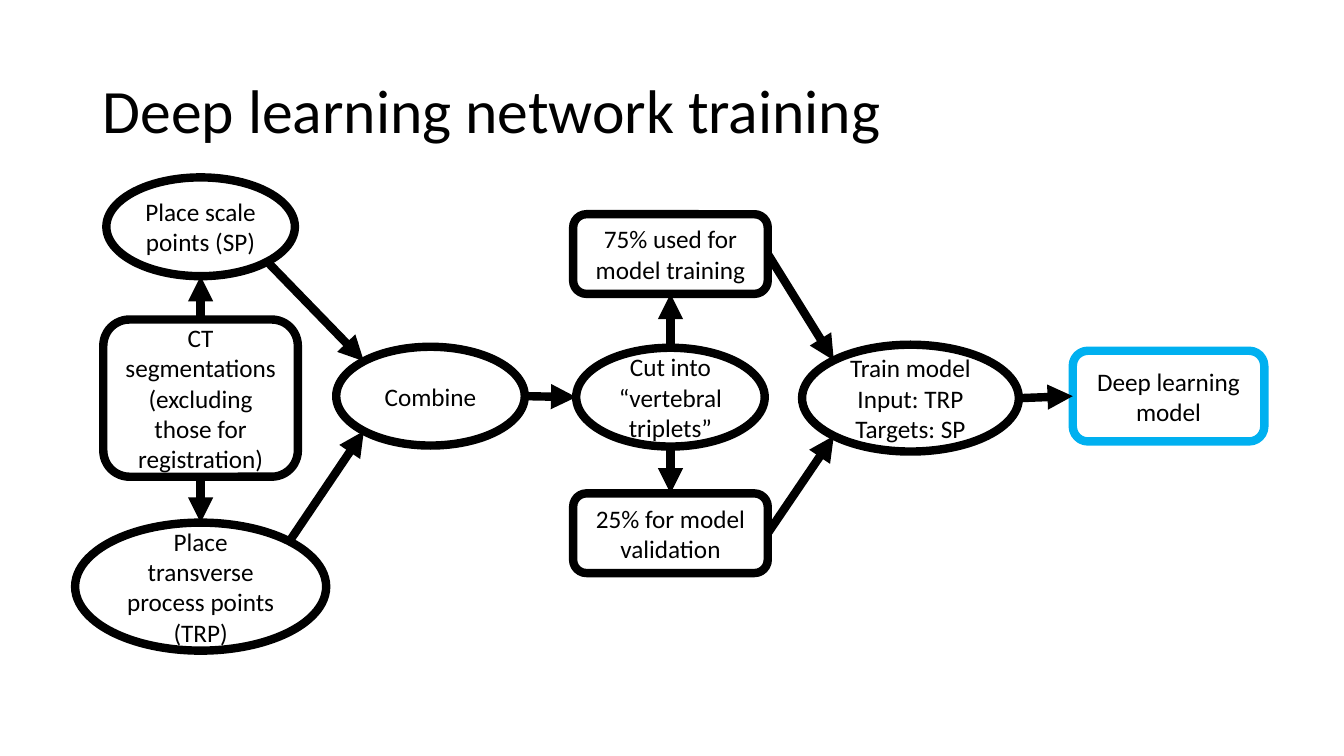
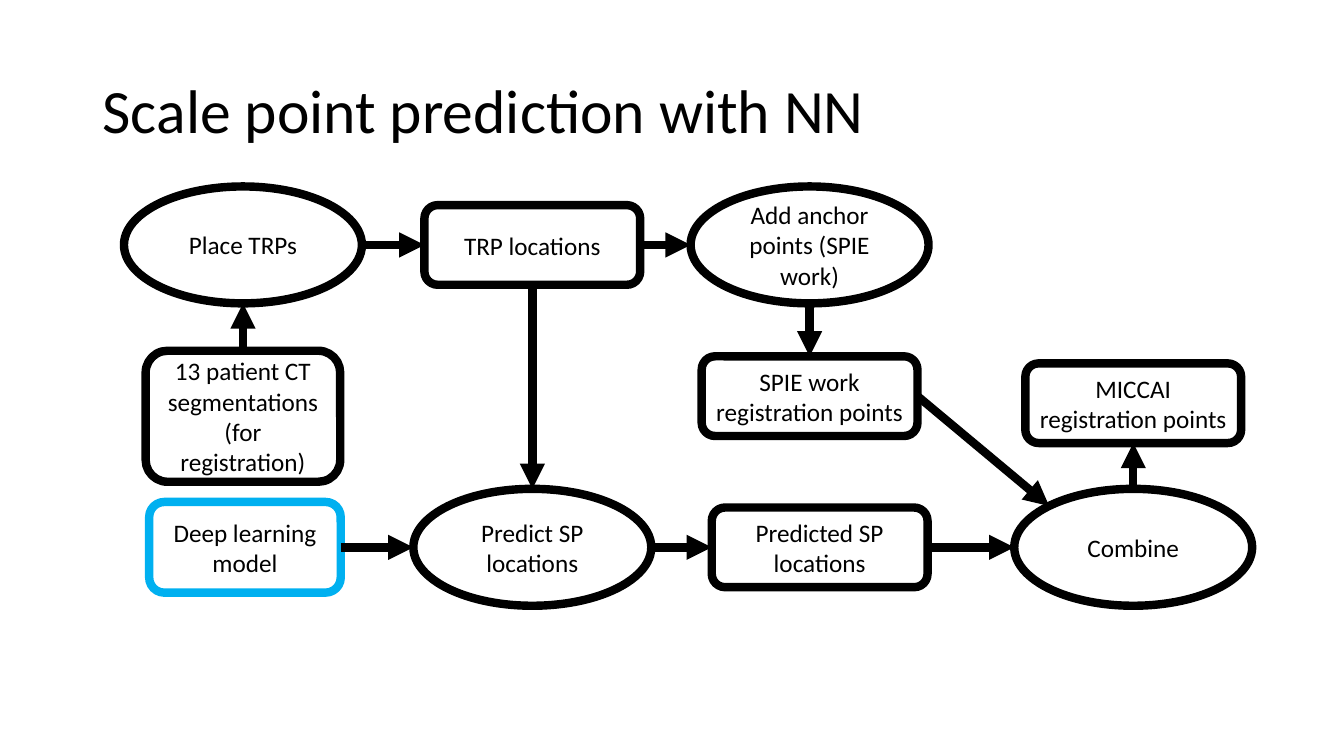
from math import sqrt

from lxml.etree import SubElement
from pptx import Presentation
from pptx.dml.color import RGBColor
from pptx.enum.shapes import MSO_CONNECTOR, MSO_SHAPE
from pptx.enum.text import MSO_ANCHOR as ANCHOR, PP_ALIGN as ALIGN
from pptx.oxml.ns import qn
from pptx.util import Inches, Pt

BLACK, BLUE = "000000", "00B0F0"
FONT = "Calibri"
LINE_WIDTH = Pt(6)
DIAGONAL = 1 / sqrt(2)
SIDES = {
    "top": (0, -1), "left": (-1, 0), "bottom": (0, 1), "right": (1, 0),
    "top left": (-DIAGONAL, -DIAGONAL), "bottom left": (-DIAGONAL, DIAGONAL),
    "bottom right": (DIAGONAL, DIAGONAL), "top right": (DIAGONAL, -DIAGONAL),
}
SITES = {
    "box": ["top", "left", "bottom", "right"],
    "oval": ["top", "top left", "left", "bottom left",
             "bottom", "bottom right", "right", "top right"],
}
PRESETS = {"box": MSO_SHAPE.ROUNDED_RECTANGLE, "oval": MSO_SHAPE.OVAL}

SMALL_OVAL, LARGE_OVAL = (1.87, 0.98), (2.36, 1.16)
SMALL_BOX, LARGE_BOX, MODEL_BOX = (1.93, 0.79), (2.14, 0.79), (1.9, 0.9)

SLIDES = [
    {
        "title": "Deep learning network training",
        "nodes": {
            "scans": ("box", 1.99, 3.95, (1.93, 1.56), BLACK,
                      "CT segmentations (excluding those for registration)"),
            "scale": ("oval", 1.99, 2.25, SMALL_OVAL, BLACK, "Place scale points (SP)"),
            "process": ("oval", 1.99, 5.82, (2.49, 1.27), BLACK,
                        "Place transverse process points (TRP)"),
            "combine": ("oval", 4.27, 3.93, SMALL_OVAL, BLACK, "Combine"),
            "cut": ("oval", 6.65, 3.94, SMALL_OVAL, BLACK, "Cut into “vertebral triplets”"),
            "training": ("box", 6.65, 2.52, SMALL_BOX, BLACK, "75% used for model training"),
            "validation": ("box", 6.65, 5.29, SMALL_BOX, BLACK, "25% for model validation"),
            "train": ("oval", 9.03, 3.95, (2.15, 1.06), BLACK,
                      "Train model\vInput: TRP\nTargets: SP"),
            "model": ("box", 11.59, 3.93, MODEL_BOX, BLUE, "Deep learning model"),
        },
        "arrows": [
            ("scans", "top", "scale", "bottom"),
            ("scans", "bottom", "process", "top"),
            ("scale", "bottom right", "combine", "top left"),
            ("process", "top right", "combine", "bottom left"),
            ("combine", "right", "cut", "left"),
            ("cut", "top", "training", "bottom"),
            ("cut", "bottom", "validation", "top"),
            ("training", "right", "train", "top left"),
            ("validation", "right", "train", "bottom left"),
            ("train", "right", "model", "left"),
        ],
    },
    {
        "title": "Scale point prediction with NN",
        "nodes": {
            "model": ("box", 2.43, 5.43, MODEL_BOX, BLUE, "Deep learning model"),
            "scans": ("box", 2.41, 4.13, (1.93, 1.3), BLACK,
                      "13 patient CT segmentations (for registration)"),
            "place": ("oval", 2.41, 2.43, LARGE_OVAL, BLACK, "Place TRPs"),
            "located": ("box", 5.28, 2.43, LARGE_BOX, BLACK, "TRP locations"),
            "predict": ("oval", 5.28, 5.43, LARGE_OVAL, BLACK, "Predict SP locations"),
            "predicted": ("box", 8.13, 5.43, LARGE_BOX, BLACK, "Predicted SP locations"),
            "anchor": ("oval", 8.03, 2.43, LARGE_OVAL, BLACK, "Add anchor points (SPIE work)"),
            "earlier": ("box", 8.03, 3.93, LARGE_BOX, BLACK, "SPIE work registration points"),
            "combine": ("oval", 11.24, 5.43, LARGE_OVAL, BLACK, "Combine"),
            "result": ("box", 11.24, 4, LARGE_BOX, BLACK, "MICCAI registration points"),
        },
        "arrows": [
            ("scans", "top", "place", "bottom"),
            ("place", "right", "located", "left"),
            ("model", "right", "predict", "left"),
            ("located", "bottom", "predict", "top"),
            ("located", "right", "anchor", "left"),
            ("anchor", "bottom", "earlier", "top"),
            ("predict", "right", "predicted", "left"),
            ("predicted", "right", "combine", "left"),
            ("earlier", "right", "combine", "top left"),
            ("combine", "top", "result", "bottom"),
        ],
    },
]


def color(value):
    return RGBColor.from_string(value)


def write(shape, text, size, **paragraph_format):
    frame = shape.text_frame
    frame.word_wrap = True
    frame.vertical_anchor = ANCHOR.MIDDLE
    frame.text = text
    for para in frame.paragraphs:
        for name, value in paragraph_format.items():
            setattr(para, name, value)
        for span in para.runs:
            for name, value in {"name": FONT, "size": Pt(size)}.items():
                setattr(span.font, name, value)
            span.font.color.rgb = color(BLACK)


deck = Presentation()
deck.slide_width, deck.slide_height = Inches(13.33), Inches(7.5)

for content in SLIDES:
    page = deck.slides.add_slide(deck.slide_layouts[6])
    title = page.shapes.add_textbox(Inches(0.92), Inches(0.4), Inches(11.5), Inches(1.45))
    write(title, content["title"], 44, line_spacing=0.9)

    shapes = {}
    for key, (kind, x, y, (width, height), outline, text) in content["nodes"].items():
        node = page.shapes.add_shape(
            PRESETS[kind], Inches(x - width / 2), Inches(y - height / 2),
            Inches(width), Inches(height))
        node.shadow.inherit = False
        node.fill.background()
        node.line.color.rgb = color(outline)
        node.line.width = LINE_WIDTH
        write(node, text, 18, alignment=ALIGN.CENTER)
        shapes[key] = node

    for start, start_side, end, end_side in content["arrows"]:
        points, joints = [], []
        for tag, key, side in (("a:stCxn", start, start_side), ("a:endCxn", end, end_side)):
            kind, x, y, (width, height) = content["nodes"][key][:4]
            across, down = SIDES[side]
            points += [Inches(x + across * width / 2), Inches(y + down * height / 2)]
            joints.append((tag, shapes[key].shape_id, SITES[kind].index(side)))
        arrow = page.shapes.add_connector(MSO_CONNECTOR.STRAIGHT, *points)
        arrow.line.color.rgb = color(BLACK)
        arrow.line.width = LINE_WIDTH
        properties = arrow._element.spPr
        SubElement(properties.find(qn("a:ln")), qn("a:tailEnd"), type="triangle")
        SubElement(properties, qn("a:effectLst"))
        for tag, shape_id, site in joints:
            SubElement(arrow._element.nvCxnSpPr.cNvCxnSpPr, qn(tag),
                       id=str(shape_id), idx=str(site))

deck.save("out.pptx")
